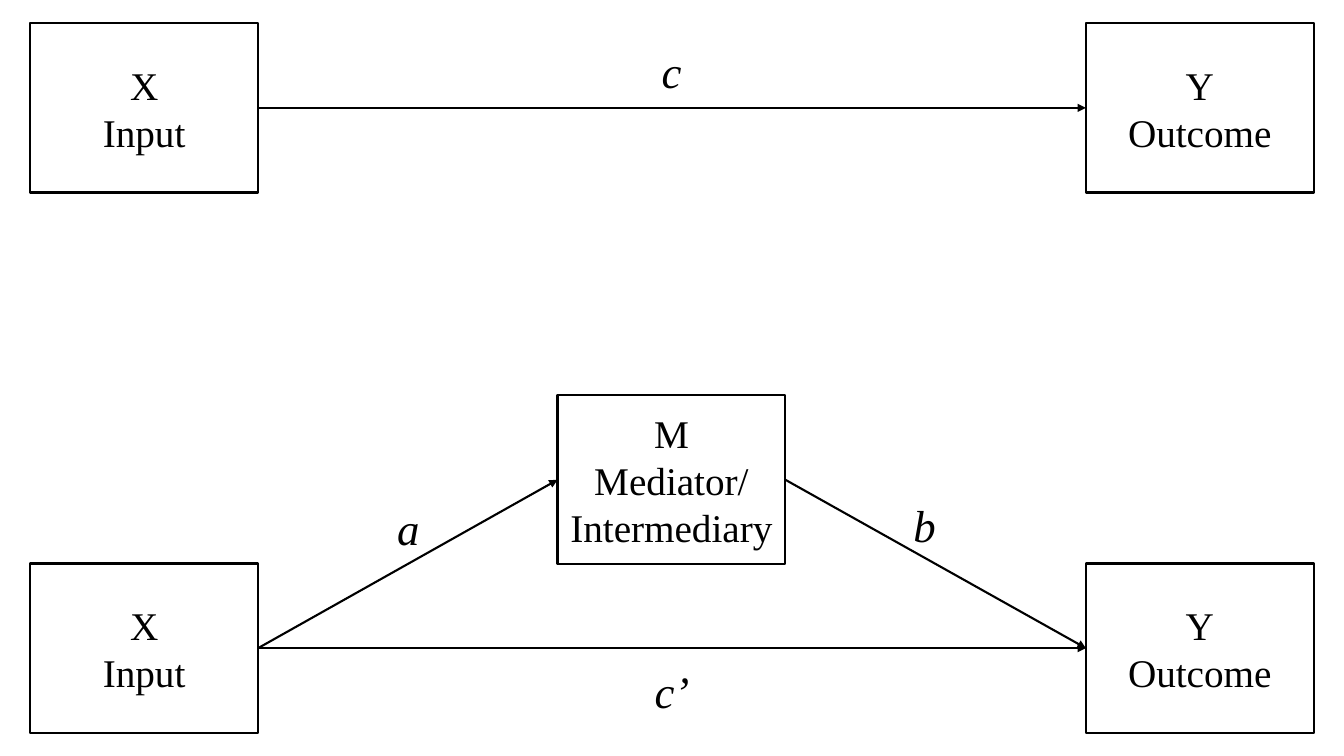
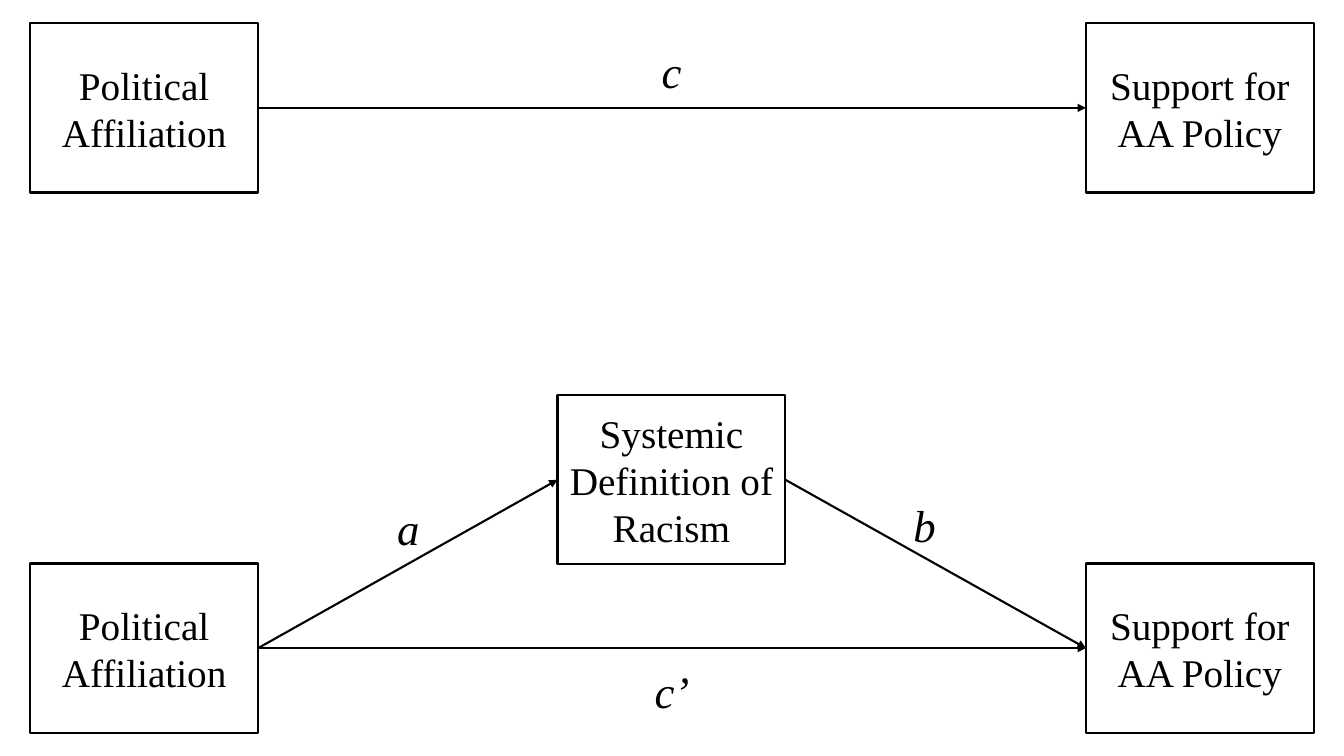
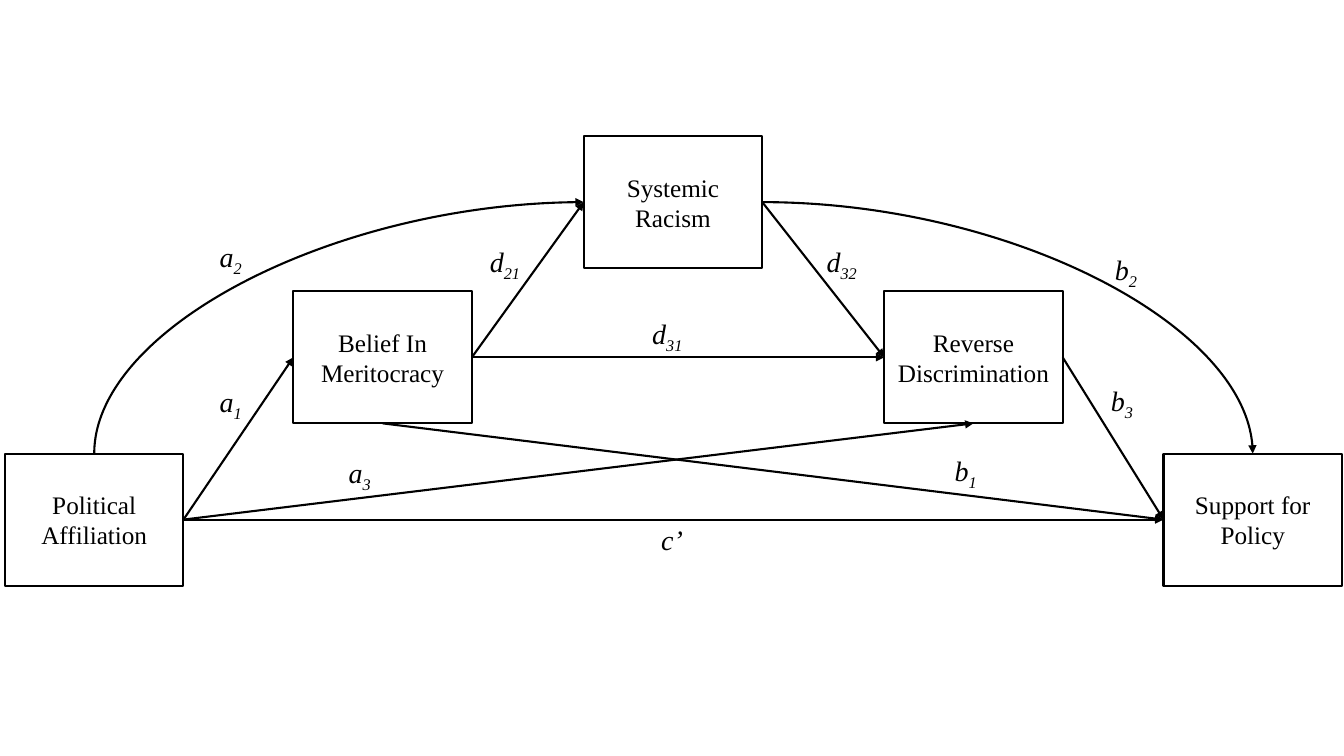
"""Build three path diagrams for mediation models."""
from lxml import etree
from pptx import Presentation
from pptx.dml.color import RGBColor
from pptx.enum.shapes import MSO_CONNECTOR, MSO_SHAPE
from pptx.enum.text import MSO_ANCHOR, PP_ALIGN
from pptx.oxml.ns import qn
from pptx.util import Emu, Pt

PX = 9144
SLIDE_W, SLIDE_H = 1333, 750
COLORS = {"ink": "000000", "paper": "FFFFFF"}
FONT = "Times New Roman"
LINE_PT = 1.5
STRAIGHT, CURVE = MSO_CONNECTOR.STRAIGHT, MSO_CONNECTOR.CURVE
RECT = MSO_SHAPE.RECTANGLE
MIDDLE = MSO_ANCHOR.MIDDLE
CENTER, LEFT_ALIGN = PP_ALIGN.CENTER, PP_ALIGN.LEFT
TOP, LEFT, BOTTOM, RIGHT = range(4)


def px(*lengths):
    """Turn px lengths into EMU."""
    return [Emu(n * PX) for n in lengths]


def rgb(name):
    """Look up a palette colour."""
    return RGBColor.from_string(COLORS[name])


def style_text(tf, size, align, italic=False):
    """Apply the shared text style to every run of a frame."""
    for p in tf.paragraphs:
        p.alignment = align
        for r in p.runs:
            r.font.name = FONT
            r.font.size = Pt(size)
            r.font.italic = italic
            r.font.color.rgb = rgb("ink")


def style_line(line):
    """Apply the shared outline."""
    line.color.rgb = rgb("ink")
    line.width = Pt(LINE_PT)


def add_node(s, x, y, w, h, text, size):
    """Add an outlined variable box."""
    sp = s.shapes.add_shape(RECT, *px(x, y, w, h))
    sp.shadow.inherit = False
    sp.fill.solid()
    sp.fill.fore_color.rgb = rgb("paper")
    style_line(sp.line)
    tf = sp.text_frame
    tf.word_wrap = True
    tf.vertical_anchor = MIDDLE
    tf.text = text
    style_text(tf, size, CENTER)
    return sp


def add_arrow(s, start, start_site, end, end_site, kind=STRAIGHT, tip="tailEnd"):
    """Join two boxes with an arrow whose head is at the given tip."""
    cxn = s.shapes.add_connector(kind, 0, 0, 0, 0)
    cxn.begin_connect(start, start_site)
    cxn.end_connect(end, end_site)
    style_line(cxn.line)
    spPr = cxn._element.spPr
    if kind == CURVE:
        spPr.find(qn("a:prstGeom")).set("prst", "curvedConnector2")
    etree.SubElement(spPr.find(qn("a:ln")), qn("a:" + tip)).set("type", "triangle")
    etree.SubElement(spPr, qn("a:effectLst"))


def add_label(s, x, y, w, h, text, size, align, sub=""):
    """Add an italic path label with an optional subscript."""
    tf = s.shapes.add_textbox(*px(x, y, w, h)).text_frame
    tf.word_wrap = align == LEFT_ALIGN
    p = tf.paragraphs[0]
    p.text = text
    if sub:
        r = p.add_run()
        r.text = sub
        r.font._element.set("baseline", "-25000")
    style_text(tf, size, align, italic=True)


def total_effect(s, x, y, w, cause, outcome):
    """Draw the direct path from cause to outcome across a region."""
    node_w, node_h, size = 226, 168, 28
    a = add_node(s, x, y, node_w, node_h, cause, size)
    b = add_node(s, x + w - node_w, y, node_w, node_h, outcome, size)
    add_arrow(s, a, RIGHT, b, LEFT)
    add_label(s, x + (w - 44) // 2, y + 15, 44, 64, "c", 32, CENTER)


def mediated_effect(s, x, y, w, h, cause, mediator, outcome):
    """Draw the path through one mediator inside a region."""
    node_w, node_h, size = 226, 168, 28
    base = y + h - node_h
    a = add_node(s, x, base, node_w, node_h, cause, size)
    m = add_node(s, x + (w - node_w) // 2, y, node_w, node_h, mediator, size)
    b = add_node(s, x + w - node_w, base, node_w, node_h, outcome, size)
    add_arrow(s, a, RIGHT, m, LEFT)
    add_arrow(s, m, RIGHT, b, LEFT)
    add_arrow(s, a, RIGHT, b, LEFT)
    for text, dx, dy, label_w in (("a", 353, 100, 44), ("b", 865, 97, 44),
                                  ("c’", 609, 262, 55)):
        add_label(s, x + dx, y + dy, label_w, 64, text, 32, CENTER)


def serial_mediation(s, x, y):
    """Draw the model with three serial mediators from a top left corner."""
    nodes = {
        "affiliation": (0, 315, "Political Affiliation"),
        "meritocracy": (286, 154, "Belief In Meritocracy"),
        "racism": (574, 0, "Systemic Racism"),
        "reverse": (872, 154, "Reverse Discrimination"),
        "support": (1149, 315, "Support for Policy"),
    }
    box = {name: add_node(s, x + dx, y + dy, 177, 131, text, 18)
           for name, (dx, dy, text) in nodes.items()}
    arrows = (
        ("affiliation", RIGHT, "meritocracy", LEFT),
        ("meritocracy", RIGHT, "racism", LEFT),
        ("racism", RIGHT, "reverse", LEFT),
        ("reverse", RIGHT, "support", LEFT),
        ("meritocracy", RIGHT, "reverse", LEFT),
        ("affiliation", RIGHT, "support", LEFT),
        ("affiliation", RIGHT, "reverse", BOTTOM),
        ("meritocracy", BOTTOM, "support", LEFT),
        ("racism", LEFT, "affiliation", TOP, CURVE, "headEnd"),
        ("racism", RIGHT, "support", TOP, CURVE),
    )
    for start, start_site, end, end_site, *look in arrows:
        add_arrow(s, box[start], start_site, box[end], end_site, *look)
    labels = (
        ("a", "1", 203, 242), ("a", "2", 203, 98), ("a", "3", 331, 312),
        ("b", "1", 932, 310), ("b", "2", 1091, 111), ("b", "3", 1087, 241),
        ("d", "21", 471, 103), ("d", "31", 632, 174), ("d", "32", 805, 103),
        ("c’", "", 641, 378),
    )
    for text, sub, dx, dy in labels:
        add_label(s, x + dx, y + dy, 57, 44, text, 20, LEFT_ALIGN, sub)


def main():
    """Build and save the presentation."""
    prs = Presentation()
    prs.slide_width, prs.slide_height = px(SLIDE_W, SLIDE_H)
    blank = prs.slide_layouts[6]
    models = (
        ("X\nInput", "M\nMediator/\vIntermediary", "Y\nOutcome"),
        ("Political Affiliation", "Systemic Definition of Racism",
         "Support for AA Policy"),
    )
    for cause, mediator, outcome in models:
        s = prs.slides.add_slide(blank)
        total_effect(s, 30, 23, 1273, cause, outcome)
        mediated_effect(s, 30, 392, 1273, 335, cause, mediator, outcome)
    serial_mediation(prs.slides.add_slide(blank), 5, 135)
    prs.save("out.pptx")


if __name__ == "__main__":
    main()
